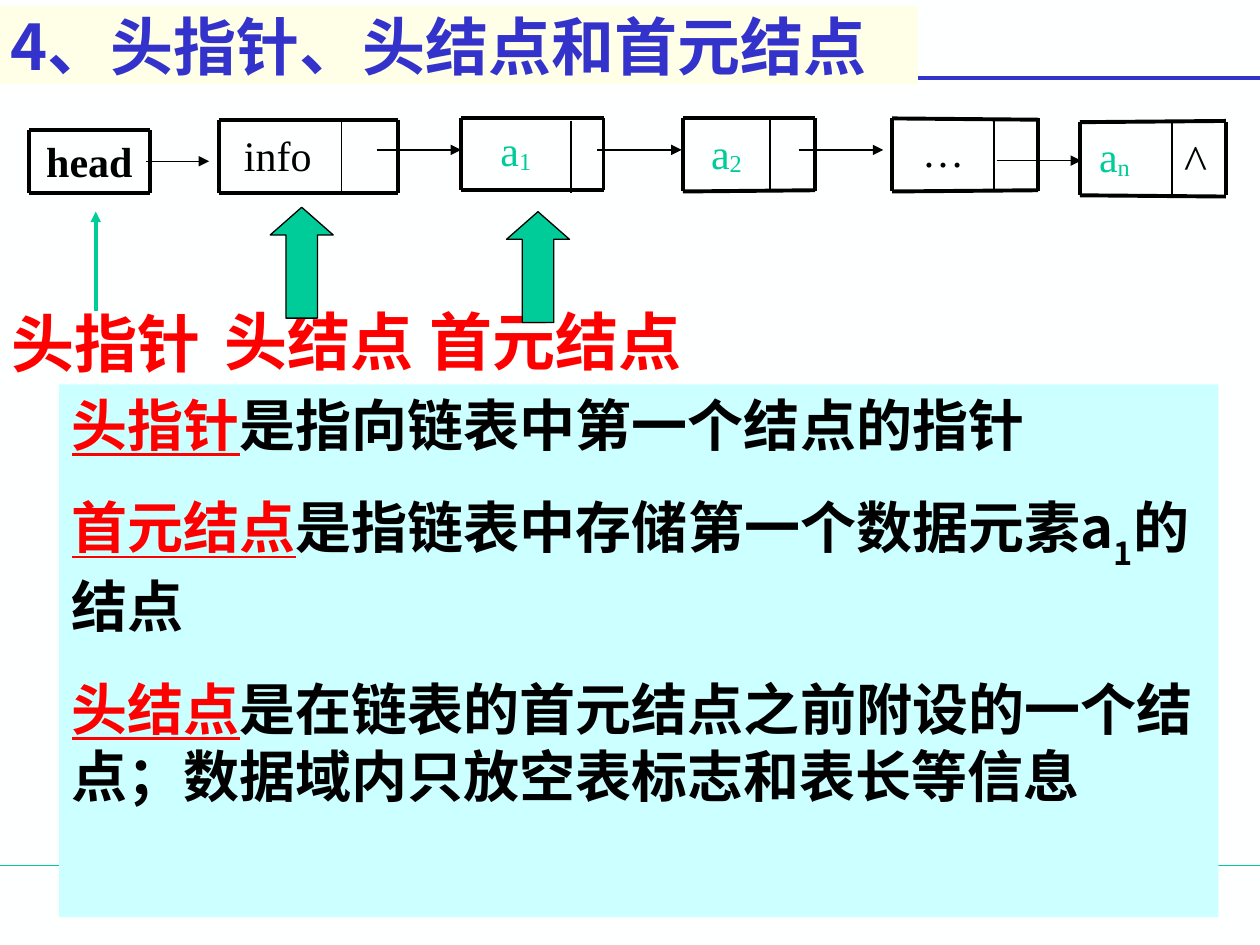
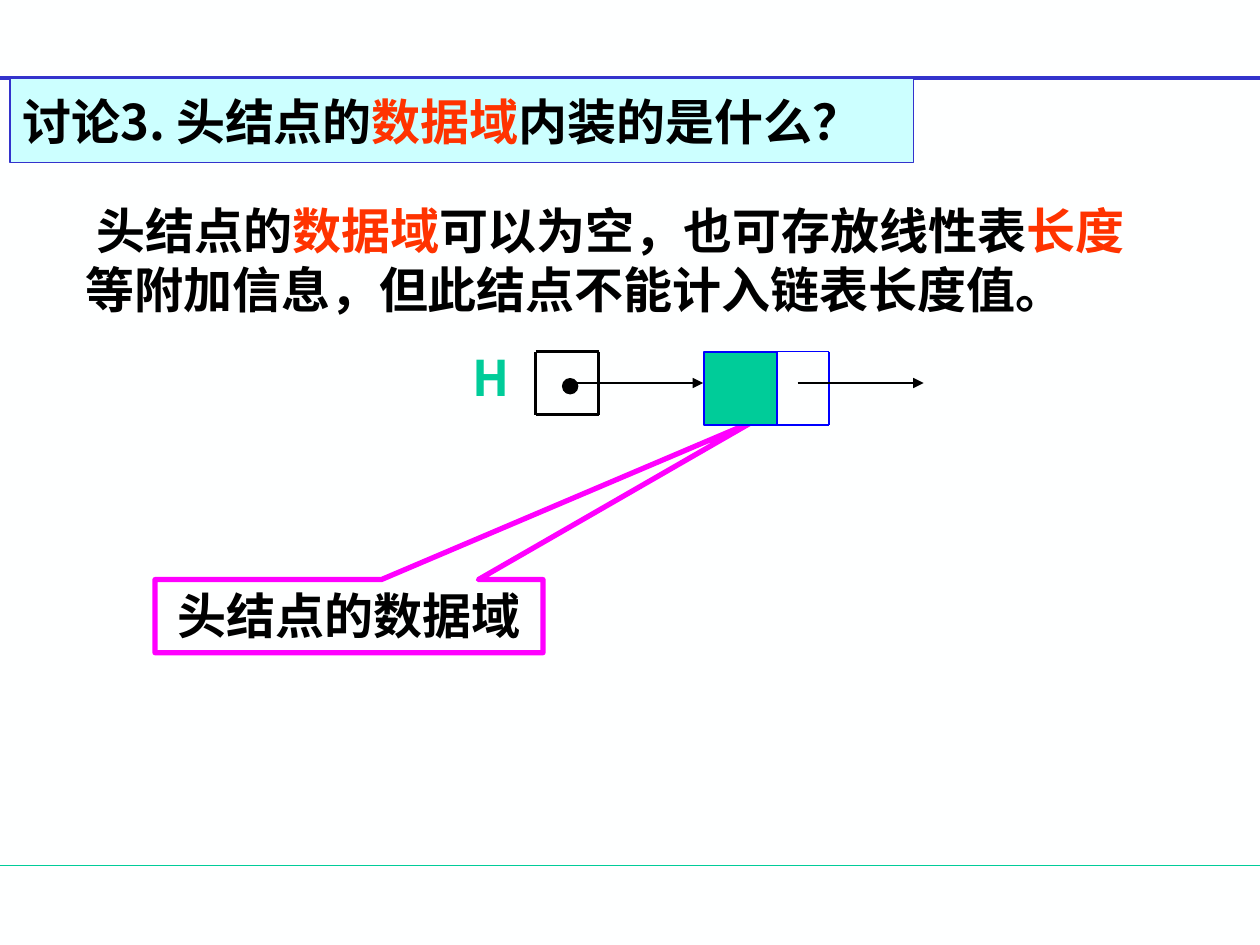
"""Build two slides on head pointers, head nodes and first nodes of a linked list."""
from dataclasses import dataclass
from typing import NamedTuple, Optional

from lxml.etree import SubElement
from pptx import Presentation
from pptx.dml.color import RGBColor
from pptx.enum.shapes import MSO_CONNECTOR, MSO_SHAPE
from pptx.enum.text import MSO_ANCHOR, PP_ALIGN
from pptx.oxml.ns import qn
from pptx.util import Inches, Pt

COLUMNS, ROWS = 100, 75
WIDTH, HEIGHT = Inches(10), Inches(7.5)

BACKGROUND = RGBColor(0xFE, 0xFF, 0xFF)
BLACK = RGBColor(0x00, 0x00, 0x00)
RED = RGBColor(0xFF, 0x00, 0x00)
ORANGE = RGBColor(0xFF, 0x33, 0x00)
GREEN = RGBColor(0x00, 0xCC, 0x99)
INDIGO = RGBColor(0x33, 0x33, 0xCC)
BLUE = RGBColor(0x00, 0x00, 0xFF)
MAGENTA = RGBColor(0xFF, 0x00, 0xFF)
CREAM = RGBColor(0xFF, 0xFF, 0xE7)
AQUA = RGBColor(0xCC, 0xFF, 0xFF)

SANS, SERIF = "Noto Sans CJK SC", "Times New Roman"
THIN, CELL, MEDIUM, THICK = 0.75, 1, 2.25, 3


class Box(NamedTuple):
    """Hold a rectangle in grid columns and rows."""
    left: float
    top: float
    width: float
    height: float


class Piece(NamedTuple):
    """Hold one run of text; baseline is a percentage."""
    text: str
    color: RGBColor = BLACK
    underline: bool = False
    baseline: int = 0


@dataclass(frozen=True)
class TextStyle:
    """Describe how a block of text is set."""
    size: float
    font: str = SANS
    bold: bool = True
    align: PP_ALIGN = PP_ALIGN.LEFT
    anchor: MSO_ANCHOR = MSO_ANCHOR.TOP
    wrap: bool = True
    space_before: float = 0


@dataclass(frozen=True)
class Node:
    """Describe a list node: its outline, data field, divider and edge tilts."""
    box: Box
    field: Box
    pieces: tuple
    divider: Optional[float] = None
    divider_drop: float = 0
    top_tilt: float = 0
    bottom_tilt: float = 0
    bold: bool = False


class Label(NamedTuple):
    """Hold a red caption and the block arrow above it."""
    text: str
    box: Box
    block_arrow: Optional[Box]


class Arrow(NamedTuple):
    """Hold a level arrow between two columns."""
    start: float
    end: float
    row: float


TITLE = TextStyle(36, anchor=MSO_ANCHOR.MIDDLE)
QUESTION = TextStyle(28, anchor=MSO_ANCHOR.MIDDLE)
ANSWER = TextStyle(28)
CALLOUT = TextStyle(28, align=PP_ALIGN.CENTER)
POINTER_NAME = TextStyle(28, wrap=False)
DEFINITIONS = TextStyle(32, space_before=20)
CAPTION = TextStyle(36, SERIF, align=PP_ALIGN.CENTER, wrap=False)
NULL_MARK = TextStyle(28, SERIF, bold=False)

NODES = (
    Node(Box(2.3, 10.3, 9.6, 5), Box(2.3, 10.3, 9.6, 5), (Piece("head"),), bold=True),
    Node(Box(17.4, 9.5, 14.2, 5.8), Box(17.4, 9.8, 9.3, 5.7), (Piece("info"),), 27.1),
    Node(Box(36.6, 9.4, 11.3, 5.7), Box(36.6, 9.4, 8.7, 5),
         (Piece("a", GREEN), Piece("1", GREEN, baseline=-8)), 45.3, 0.2),
    Node(Box(54.2, 9.4, 10.5, 5.8), Box(54.2, 9.6, 6.9, 5.7),
         (Piece("a", GREEN), Piece("2", GREEN, baseline=-8)), 61.1, -0.2,
         bottom_tilt=-0.1),
    Node(Box(70.8, 9.4, 11.6, 5.8), Box(70.8, 9.5, 8.1, 5.7), (Piece("…"),), 78.9,
         top_tilt=0.1, bottom_tilt=-0.1),
    Node(Box(85.7, 9.7, 11.6, 5.8), Box(85.7, 9.9, 5.5, 5.7),
         (Piece("a", GREEN), Piece("n", GREEN, baseline=-8)), 93,
         top_tilt=-0.1, bottom_tilt=0.1),
)
ARROWS = (
    Arrow(11.6, 16.6, 12.8),
    Arrow(29.9, 36.6, 11.9),
    Arrow(47.4, 54.1, 11.9),
    Arrow(63.4, 70.1, 11.9),
    Arrow(79.1, 85.8, 12.75),
)
LABELS = (
    Label("头指针", Box(-0.1, 23.7, 17, 7), None),
    Label("头结点", Box(16.8, 23.5, 17, 7), Box(21.45, 16.45, 5, 8.8)),
    Label("首元结点", Box(33.1, 23.5, 22, 7), Box(40.2, 16.8, 5, 8.8)),
)


def across(columns: float) -> int:
    """Turn grid columns into a length."""
    return round(WIDTH * columns / COLUMNS)


def down(rows: float) -> int:
    """Turn grid rows into a length."""
    return round(HEIGHT * rows / ROWS)


def place(box: Box) -> tuple:
    """Turn a grid box into left, top, width and height."""
    return across(box.left), down(box.top), across(box.width), down(box.height)


def write(shape, paragraphs, style: TextStyle) -> None:
    """Write paragraphs of pieces into a shape."""
    frame = shape.text_frame
    frame.word_wrap = style.wrap
    frame.vertical_anchor = style.anchor
    for index, pieces in enumerate(paragraphs):
        paragraph = frame.add_paragraph() if index else frame.paragraphs[0]
        paragraph.alignment = style.align
        if index:
            paragraph.space_before = Pt(style.space_before)
        for piece in pieces:
            run = paragraph.add_run()
            run.text = piece.text
            font = run.font
            font.size, font.bold, font.name = Pt(style.size), style.bold, style.font
            font.color.rgb = piece.color
            font.underline = piece.underline
            properties = run._r.get_or_add_rPr()
            SubElement(properties, qn("a:ea")).set("typeface", SANS)
            if piece.baseline:
                properties.set("baseline", str(piece.baseline * 1000))


def add_text(slide, box: Box, pieces, style: TextStyle) -> None:
    """Add a text box holding one paragraph."""
    write(slide.shapes.add_textbox(*place(box)), [pieces], style)


def add_block(slide, kind: MSO_SHAPE, box: Box, fill: Optional[RGBColor] = None,
              line: Optional[RGBColor] = None, weight: float = THIN, adjustments=()):
    """Add a flat preset shape."""
    shape = slide.shapes.add_shape(kind, *place(box))
    shape.shadow.inherit = False
    if fill is None:
        shape.fill.background()
    else:
        shape.fill.solid()
        shape.fill.fore_color.rgb = fill
    if line is None:
        shape.line.fill.background()
    else:
        shape.line.color.rgb = line
        shape.line.width = Pt(weight)
    for index, value in enumerate(adjustments):
        shape.adjustments[index] = value
    return shape


def add_line(slide, start: tuple, end: tuple, color: RGBColor = BLACK,
             weight: float = THIN, arrow: bool = False) -> None:
    """Add a straight line between two grid points."""
    connector = slide.shapes.add_connector(
        MSO_CONNECTOR.STRAIGHT,
        across(start[0]), down(start[1]), across(end[0]), down(end[1]))
    connector.line.color.rgb = color
    connector.line.width = Pt(weight)
    if arrow:
        SubElement(connector.line._get_or_add_ln(), qn("a:tailEnd")).set("type", "triangle")
    SubElement(connector._element.spPr, qn("a:effectLst"))


def add_frame(slide, box: Box, color: RGBColor, weight: float,
              top_tilt: float = 0, bottom_tilt: float = 0) -> None:
    """Draw an open frame from four lines, with tilted top and bottom if asked."""
    right, bottom = box.left + box.width, box.top + box.height
    for row, tilt in ((box.top, top_tilt), (bottom, bottom_tilt)):
        add_line(slide, (box.left, row), (right, row + tilt), color, weight)
    for column in (box.left, right):
        add_line(slide, (column, box.top), (column, bottom), color, weight)


def add_base_slide(presentation):
    """Add a blank slide with the shared background and rules."""
    slide = presentation.slides.add_slide(presentation.slide_layouts[6])
    slide.background.fill.solid()
    slide.background.fill.fore_color.rgb = BACKGROUND
    for row, color, weight in ((68.7, GREEN, THIN), (6.2, INDIGO, MEDIUM)):
        add_line(slide, (0, row), (COLUMNS, row), color, weight)
    return slide


def add_node(slide, node: Node) -> None:
    """Draw a list node with its data field."""
    add_frame(slide, node.box, BLACK, MEDIUM, node.top_tilt, node.bottom_tilt)
    if node.divider is not None:
        top = node.box.top + node.divider_drop
        add_line(slide, (node.divider, top), (node.divider, top + node.box.height),
                 weight=CELL)
    style = TextStyle(24, SERIF, bold=node.bold, align=PP_ALIGN.CENTER)
    add_text(slide, node.field, node.pieces, style)


def build_definitions(presentation) -> None:
    """Build the slide that defines the three terms."""
    slide = add_base_slide(presentation)
    title = add_block(slide, MSO_SHAPE.RECTANGLE, Box(-0.15, 0.5, 73, 6.2), CREAM)
    write(title, [[Piece("4、头指针、头结点和首元结点", INDIGO)]], TITLE)

    add_line(slide, (7.6, 24.7), (7.6, 16.8), GREEN, 2, arrow=True)
    for label in LABELS:
        add_text(slide, label.box, [Piece(label.text, RED)], CAPTION)
        if label.block_arrow:
            add_block(slide, MSO_SHAPE.UP_ARROW, label.block_arrow, GREEN, BLACK,
                      adjustments=(0.5, 0.44))

    for node in NODES:
        add_node(slide, node)
    add_text(slide, Box(93, 9.9, 5.1, 5.7), [Piece("^")], NULL_MARK)
    for arrow in ARROWS:
        add_line(slide, (arrow.start, arrow.row), (arrow.end, arrow.row), arrow=True)

    panel = add_block(slide, MSO_SHAPE.RECTANGLE, Box(4.7, 30.5, 92, 42.3), AQUA)
    write(panel, [
        [Piece("头指针", RED, True), Piece("是指向链表中第一个结点的指针")],
        [Piece("首元结点", RED, True), Piece("是指链表中存储第一个数据元素a"),
         Piece("1", baseline=-30), Piece("的结点")],
        [Piece("头结点", RED, True),
         Piece("是在链表的首元结点之前附设的一个结点；数据域内只放空表标志和表长等信息")],
    ], DEFINITIONS)


def build_discussion(presentation) -> None:
    """Build the slide that discusses the data field of the head node."""
    slide = add_base_slide(presentation)
    question = add_block(slide, MSO_SHAPE.RECTANGLE, Box(0.8, 6.25, 71.7, 6.65), AQUA, INDIGO)
    write(question, [[Piece("讨论3. 头结点的"), Piece("数据域", ORANGE),
                      Piece("内装的是什么？")]], QUESTION)
    add_text(slide, Box(5.8, 15.4, 87.5, 10.4), [
        Piece(" 头结点的"), Piece("数据域", ORANGE), Piece("可以为空，也可存放线性表"),
        Piece("长度", ORANGE), Piece("等附加信息，但此结点不能计入链表长度值。"),
    ], ANSWER)

    callout = add_block(slide, MSO_SHAPE.RECTANGULAR_CALLOUT, Box(12.3, 46, 30.8, 5.8),
                        line=MAGENTA, weight=THICK, adjustments=(1.04, -2.66))
    write(callout, [[Piece("头结点的数据域")]], CALLOUT)

    add_frame(slide, Box(42.5, 27.9, 5, 5), BLACK, MEDIUM)
    add_block(slide, MSO_SHAPE.OVAL, Box(44.65, 30.05, 1.2, 1.2), BLACK, BLACK)
    add_block(slide, MSO_SHAPE.RECTANGLE, Box(55.85, 27.95, 5.8, 5.8), GREEN, BLUE, CELL)
    add_frame(slide, Box(61.7, 27.9, 4.1, 5.85), BLUE, CELL)
    add_text(slide, Box(36.5, 27.1, 4.3, 5.7), [Piece("H", GREEN)], POINTER_NAME)
    for start in (45.8, 63.3):
        add_line(slide, (start, 30.4), (start + 10, 30.4), arrow=True)


def main() -> None:
    """Create and save the presentation."""
    presentation = Presentation()
    presentation.slide_width, presentation.slide_height = WIDTH, HEIGHT
    build_definitions(presentation)
    build_discussion(presentation)
    presentation.save("out.pptx")


if __name__ == "__main__":
    main()
